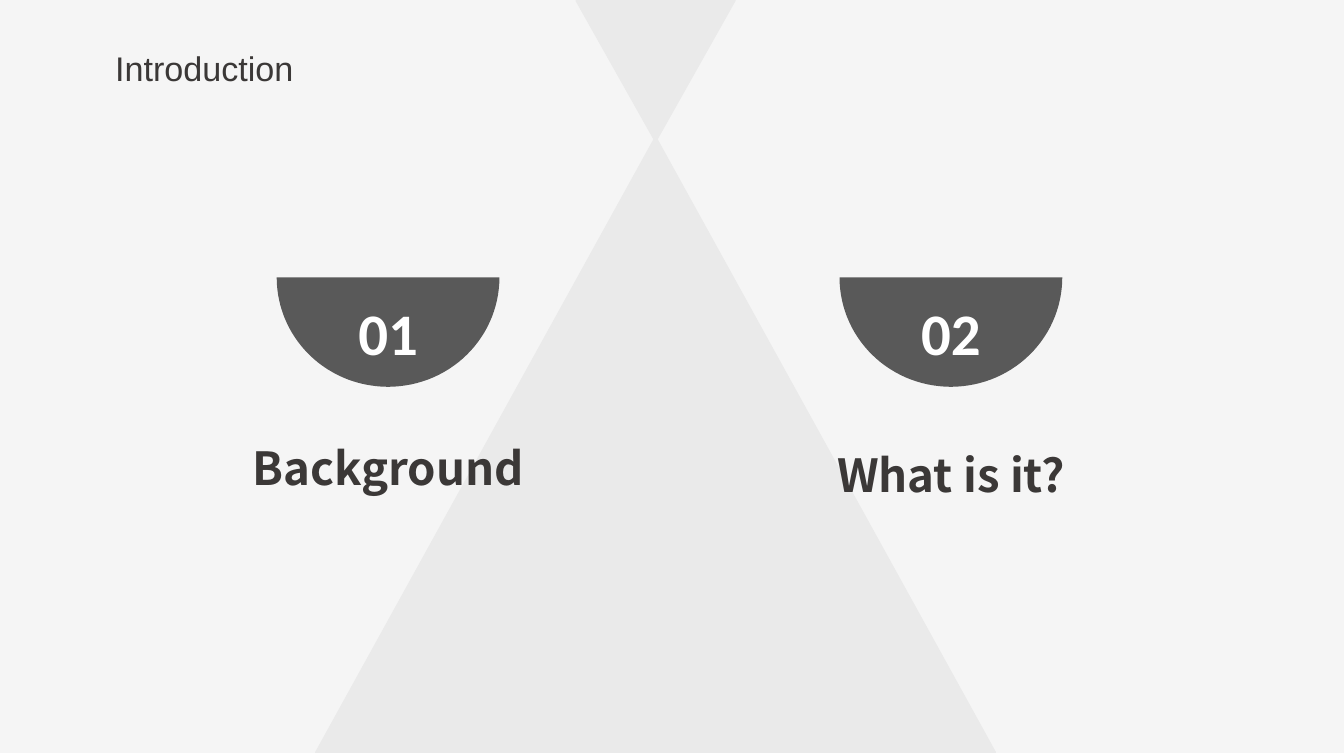
import math

from pptx import Presentation
from pptx.dml.color import RGBColor
from pptx.enum.shapes import MSO_SHAPE
from pptx.enum.text import MSO_ANCHOR, MSO_AUTO_SIZE, PP_ALIGN
from pptx.util import Pt

TITLE = "Introduction"
SECTIONS = [
    {"number": "01", "label": "Background", "center": 204.6, "label_top": 226},
    {"number": "02", "label": "What is it?", "center": 501.3, "label_top": 230},
]

BACKGROUND = RGBColor(0xF5, 0xF5, 0xF5)
TRIANGLE_GRAY = RGBColor(0xEA, 0xEA, 0xEA)
BOWL_GRAY = RGBColor(0x59, 0x59, 0x59)
TEXT_DARK = RGBColor(0x3B, 0x38, 0x37)
WHITE = RGBColor(0xFF, 0xFF, 0xFF)

TRIANGLE = MSO_SHAPE.ISOSCELES_TRIANGLE
INVERTED_TRIANGLE = MSO_SHAPE.FLOWCHART_MERGE
CENTER = PP_ALIGN.CENTER
TOP, MIDDLE = MSO_ANCHOR.TOP, MSO_ANCHOR.MIDDLE
NO_AUTOFIT = MSO_AUTO_SIZE.NONE

WIDTH, HEIGHT = 708.48, 396.72
APEX_X, APEX_Y = 345.6, 73.4
TRIANGLES = [(TRIANGLE, 357.1, APEX_Y, HEIGHT - APEX_Y),
             (INVERTED_TRIANGLE, 82.6, 0, APEX_Y)]
BOWL_TOP, BOWL_RADIUS, BOWL_DEPTH = 146.2, 58.7, 57.6
ARC_STEPS = 60
LABEL_WIDTH, LABEL_HEIGHT = 176.4, 40

TITLE_FONT = {"name": "Arial", "size": Pt(18), "bold": False}
NUMBER_FONT = {"name": "Calibri", "size": Pt(31), "bold": True}
LABEL_FONT = {"name": "Noto Sans CJK SC", "size": Pt(24), "bold": True}


def write_text(shape, text, font_format, color, anchor):
    frame = shape.text_frame
    frame_format = {
        "word_wrap": True, "auto_size": NO_AUTOFIT, "vertical_anchor": anchor,
        "margin_left": Pt(5), "margin_right": Pt(5),
        "margin_top": Pt(2.9), "margin_bottom": Pt(2.9),
    }
    for name, value in frame_format.items():
        setattr(frame, name, value)
    paragraph = frame.paragraphs[0]
    paragraph.alignment = CENTER
    run = paragraph.add_run()
    run.text = text
    for name, value in font_format.items():
        setattr(run.font, name, value)
    run.font.color.rgb = color


def add_triangle(slide, kind, width, top, height):
    shape = slide.shapes.add_shape(
        kind, Pt(APEX_X - width / 2), Pt(top), Pt(width), Pt(height))
    shape.shadow.inherit = False
    shape.fill.solid()
    shape.fill.fore_color.rgb = TRIANGLE_GRAY
    shape.line.color.rgb = TRIANGLE_GRAY
    shape.line.width = Pt(2)


def add_bowl(slide, center, number):
    angles = [math.pi * step / ARC_STEPS for step in range(ARC_STEPS + 1)]
    points = [(Pt(center + BOWL_RADIUS * math.cos(angle)),
               Pt(BOWL_TOP + BOWL_DEPTH * math.sin(angle))) for angle in angles]
    builder = slide.shapes.build_freeform(*points[0])
    builder.add_line_segments(points[1:], close=True)
    shape = builder.convert_to_shape()
    shape.shadow.inherit = False
    shape.fill.solid()
    shape.fill.fore_color.rgb = BOWL_GRAY
    shape.line.fill.background()
    write_text(shape, number, NUMBER_FONT, WHITE, MIDDLE)


def main():
    presentation = Presentation()
    presentation.slide_width, presentation.slide_height = Pt(WIDTH), Pt(HEIGHT)
    slide = presentation.slides.add_slide(presentation.slide_layouts[5])
    slide.background.fill.solid()
    slide.background.fill.fore_color.rgb = BACKGROUND

    for triangle in TRIANGLES:
        add_triangle(slide, *triangle)

    title = slide.shapes.title
    title.left, title.top, title.width, title.height = (
        Pt(31), Pt(22.3), Pt(153.4), Pt(27.4))
    write_text(title, TITLE, TITLE_FONT, TEXT_DARK, TOP)

    for section in SECTIONS:
        add_bowl(slide, section["center"], section["number"])
        label = slide.shapes.add_textbox(
            Pt(section["center"] - LABEL_WIDTH / 2), Pt(section["label_top"]),
            Pt(LABEL_WIDTH), Pt(LABEL_HEIGHT))
        write_text(label, section["label"], LABEL_FONT, TEXT_DARK, MIDDLE)

    presentation.save("out.pptx")


if __name__ == "__main__":
    main()
